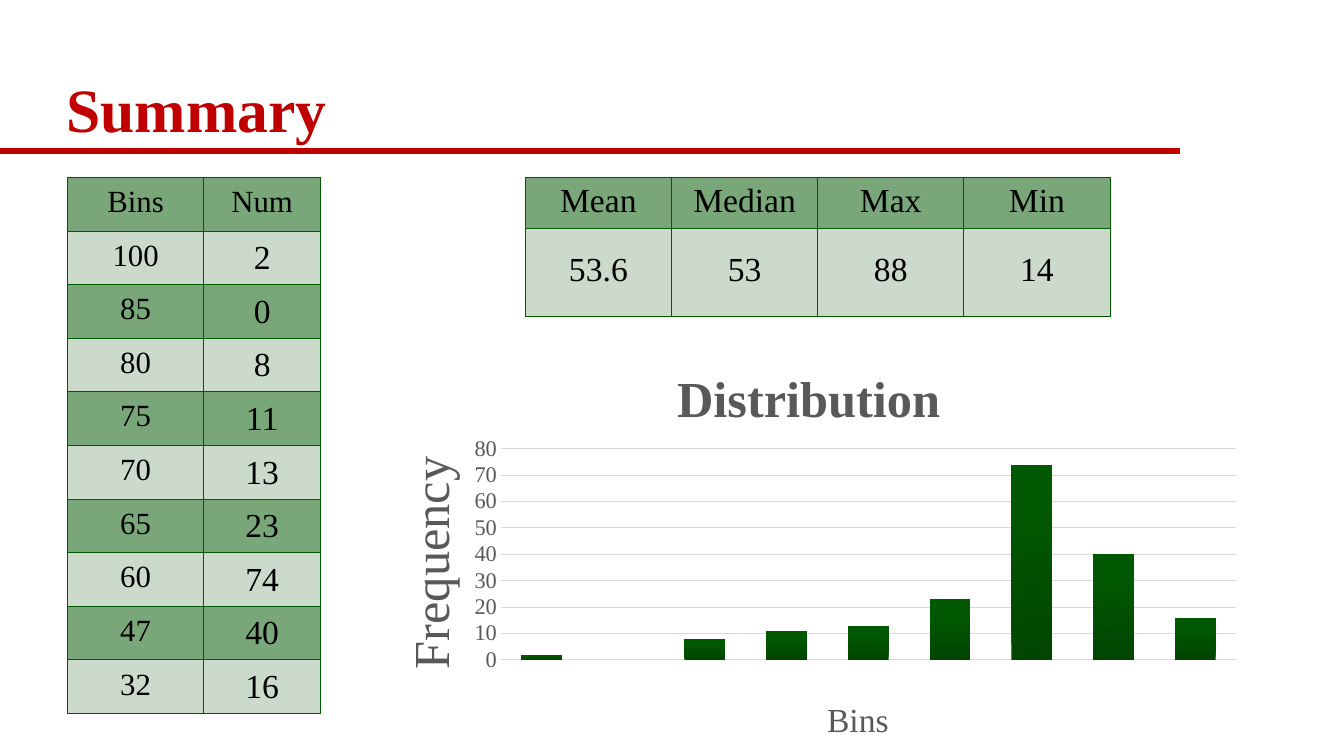
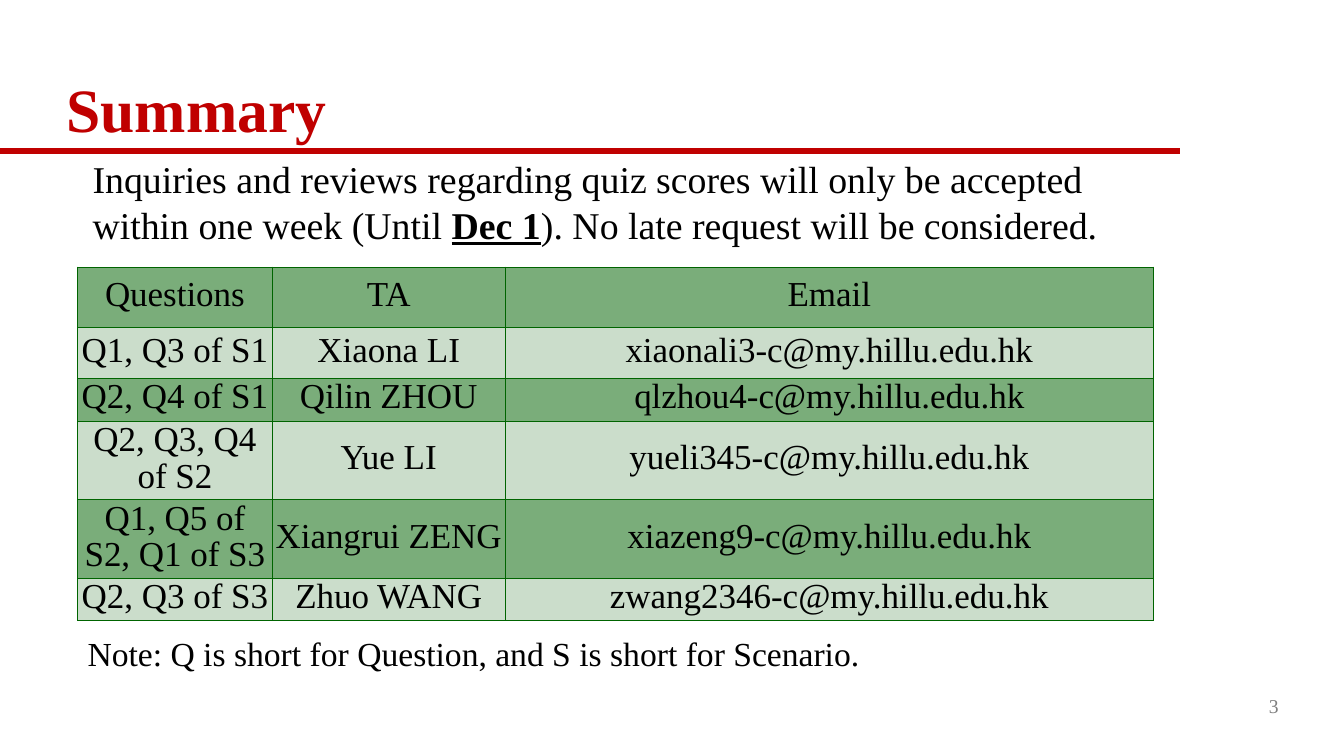
from lxml.etree import SubElement
from pptx import Presentation
from pptx.chart.data import CategoryChartData
from pptx.dml.color import RGBColor
from pptx.enum.chart import XL_CHART_TYPE, XL_TICK_LABEL_POSITION, XL_TICK_MARK
from pptx.enum.shapes import MSO_CONNECTOR
from pptx.enum.text import MSO_ANCHOR, PP_ALIGN
from pptx.oxml import parse_xml
from pptx.oxml.ns import nsdecls, qn
from pptx.util import Inches, Pt

FONT = "Times New Roman"
HUES = {
    "red": "C00000", "ink": "000000", "gray": "808080",
    "soft": "595959", "grid": "D9D9D9",
    "deep": "004500", "leaf": "005900",
}
# Table looks: header and odd bands, even bands, borders
PINE = {"dark": "7AA77A", "pale": "CBDACB", "edge": "005A00"}
FERN = {"dark": "7AAD7A", "pale": "CBDDCB", "edge": "006400"}

BINS = [100, 85, 80, 75, 70, 65, 60, 47, 32]
NUMS = [2, 0, 8, 11, 13, 23, 74, 40, 16]
STATS = [["Mean", "Median", "Max", "Min"], ["53.6", "53", "88", "14"]]
HOST = "@my.hillu.edu.hk"
STAFF = [
    ["Questions", "TA", "Email"],
    ["Q1, Q3 of S1", "Xiaona LI", "xiaonali3-c" + HOST],
    ["Q2, Q4 of S1", "Qilin ZHOU", "qlzhou4-c" + HOST],
    ["Q2, Q3, Q4 of S2", "Yue LI", "yueli345-c" + HOST],
    ["Q1, Q5 of S2, Q1 of S3", "Xiangrui ZENG", "xiazeng9-c" + HOST],
    ["Q2, Q3 of S3", "Zhuo WANG", "zwang2346-c" + HOST],
]


def rgb(code):
    return RGBColor.from_string(code)


def style(font, size, hue="ink", bold=False):
    font.name, font.size, font.bold = FONT, Pt(size), bold
    font.color.rgb = rgb(HUES[hue])


def place(node, x, y, w=None, h=None):
    """Fix a chart part by fractions of the chart; a size marks the plot."""
    layout = node.find(qn("c:layout"))
    if layout is None:
        layout = parse_xml(f"<c:layout {nsdecls('c')}/>")
        if node.tag == qn("c:title"):
            node.find(qn("c:tx")).addnext(layout)
        else:
            node.insert(0, layout)
    for old in list(layout):
        layout.remove(old)
    spot = SubElement(layout, qn("c:manualLayout"))
    parts = [("xMode", "edge"), ("yMode", "edge"), ("x", x), ("y", y)]
    if w:
        parts = [("layoutTarget", "inner")] + parts + [("w", w), ("h", h)]
    for tag, val in parts:
        SubElement(spot, qn("c:" + tag)).set("val", str(val))


class Deck:
    """The presentation, its shared style and the current slide."""

    def __init__(self):
        self.prs = Presentation()
        self.prs.slide_width = Inches(13.33)
        self.prs.slide_height = Inches(7.5)
        self.slide = None

    def page(self, title):
        self.slide = self.prs.slides.add_slide(self.prs.slide_layouts[6])
        rule = self.slide.shapes.add_connector(
            MSO_CONNECTOR.STRAIGHT, 0, Inches(1.5), Inches(11.7), Inches(1.5))
        rule.line.color.rgb = rgb(HUES["red"])
        rule.line.width = Pt(4)
        SubElement(rule._element.spPr, qn("a:effectLst"))
        para = self.text((0.56, 0.29, 12.17, 1.21), [title], 44, "red",
                         bold=True, anchor=MSO_ANCHOR.BOTTOM)
        para.line_spacing = 0.9

    def text(self, spot, runs, size, hue="ink", bold=False,
             anchor=MSO_ANCHOR.TOP, align=PP_ALIGN.LEFT):
        box = self.slide.shapes.add_textbox(*map(Inches, spot))
        frame = box.text_frame
        frame.word_wrap, frame.vertical_anchor = True, anchor
        para = frame.paragraphs[0]
        para.alignment = align
        style(para.font, size, hue, bold)
        for run in runs:
            para.add_run().text = run
        return para

    def table(self, x, y, cols, rows, data, look, fit, lead=None):
        """Draw a banded table; fit(row, col) gives text size and bottom inset."""
        grid = self.slide.shapes.add_table(
            len(rows), len(cols), Inches(x), Inches(y),
            Inches(sum(cols)), Inches(sum(rows))).table
        grid.first_row = grid.horz_banding = False
        for col, width in zip(grid.columns, cols):
            col.width = Inches(width)
        for row, height in zip(grid.rows, rows):
            row.height = Inches(height)
        for r, line in enumerate(data):
            for c, word in enumerate(line):
                size, foot = fit(r, c)
                cell = grid.cell(r, c)
                cell.text = str(word)
                cell.vertical_anchor = MSO_ANCHOR.MIDDLE
                cell.margin_left = cell.margin_right = Inches(0.01)
                cell.margin_top, cell.margin_bottom = Inches(0.01), Inches(foot)
                para = cell.text_frame.paragraphs[0]
                para.alignment = PP_ALIGN.CENTER
                if lead:
                    para.line_spacing = Pt(lead)
                style(para.font, size)
                self.frame(cell, look["edge"])
                cell.fill.solid()
                cell.fill.fore_color.rgb = rgb(look["pale" if r % 2 else "dark"])

    def frame(self, cell, code):
        """Draw thin borders on all four sides of a cell."""
        props = cell._tc.get_or_add_tcPr()
        for side in "LRTB":
            line = SubElement(props, qn("a:ln" + side), w=str(Pt(0.75)))
            fill = SubElement(line, qn("a:solidFill"))
            SubElement(fill, qn("a:srgbClr"), val=code)

    def chart(self, spot, vals):
        data = CategoryChartData()
        data.categories = [str(n + 1) for n in range(len(vals))]
        data.add_series("Series 1", vals)
        chart = self.slide.shapes.add_chart(
            XL_CHART_TYPE.COLUMN_CLUSTERED, *map(Inches, spot), data).chart
        style(chart.font, 10)
        chart.has_legend = False
        xs, ys = chart.category_axis, chart.value_axis
        for part, word, size, at in (
                (chart, "Distribution", 36, (0.35, 0.07)),
                (ys, "Frequency", 36, (0.04, 0.28)),
                (xs, "Bins", 24, (0.52, 0.85))):
            title = part.chart_title if part is chart else part.axis_title
            title.text_frame.text = word
            style(title.text_frame.paragraphs[0].font, size, "soft",
                  bold=part is chart)
            place(title._element, *at)
        xs.tick_label_position = XL_TICK_LABEL_POSITION.NONE
        xs.major_tick_mark = ys.major_tick_mark = XL_TICK_MARK.NONE
        ys.minimum_scale, ys.maximum_scale, ys.major_unit = 0, 80, 10
        style(ys.tick_labels.font, 16, "soft")
        ys.format.line.fill.background()
        for line in (ys.major_gridlines.format.line, xs.format.line):
            line.color.rgb = rgb(HUES["grid"])
            line.width = Pt(0.75)
        plot = chart.plots[0]
        plot.gap_width, plot.overlap = 100, -24
        plot.vary_by_categories = False
        fill = plot.series[0].format.fill
        fill.gradient()
        fill.gradient_angle = 90
        for stop, hue, pos in zip(fill.gradient_stops, ("deep", "leaf"), (0, 0.8)):
            stop.color.rgb = rgb(HUES[hue])
            stop.position = pos
        area = chart._chartSpace.find(qn("c:chart")).find(qn("c:plotArea"))
        place(area, 0.164, 0.283, 0.817, 0.493)


def main():
    deck = Deck()

    deck.page("Summary")
    bins = [("Bins", "Num"), *zip(BINS, NUMS)]
    deck.table(0.67, 1.76, [1.35, 1.16], [5.32 / len(bins)] * len(bins), bins,
               PINE, lambda r, c: (24, 0) if r and c else (22, 0.05))
    deck.chart((3.5, 3.25, 8.93, 4.25), NUMS)
    deck.table(5.21, 1.76, [1.45] * 4, [0.51, 0.87], STATS, PINE,
               lambda r, c: (24, 0.05))

    deck.page("Summary")
    deck.text((10, 6.75, 2.78, 0.5), ["3"], 14, "gray",
              anchor=MSO_ANCHOR.MIDDLE, align=PP_ALIGN.RIGHT)
    deck.table(0.77, 2.65, [1.93, 2.31, 6.43],
               [0.6, 0.5, 0.43, 0.78, 0.78, 0.41], STAFF, FERN,
               lambda r, c: (25, 0.04), lead=26.2)
    note = deck.text((0.82, 1.5, 10.57, 1.1), [
        "Inquiries and reviews regarding quiz scores will only be accepted "
        "within one week (Until ", "Dec 1",
        "). No late request will be considered."], 27)
    date = note.runs[1].font
    date.bold = date.underline = True
    deck.text((0.77, 6.23, 10.57, 0.5),
              ["Note: Q is short for Question, and S is short for Scenario."], 24)

    deck.prs.save("out.pptx")


if __name__ == "__main__":
    main()
